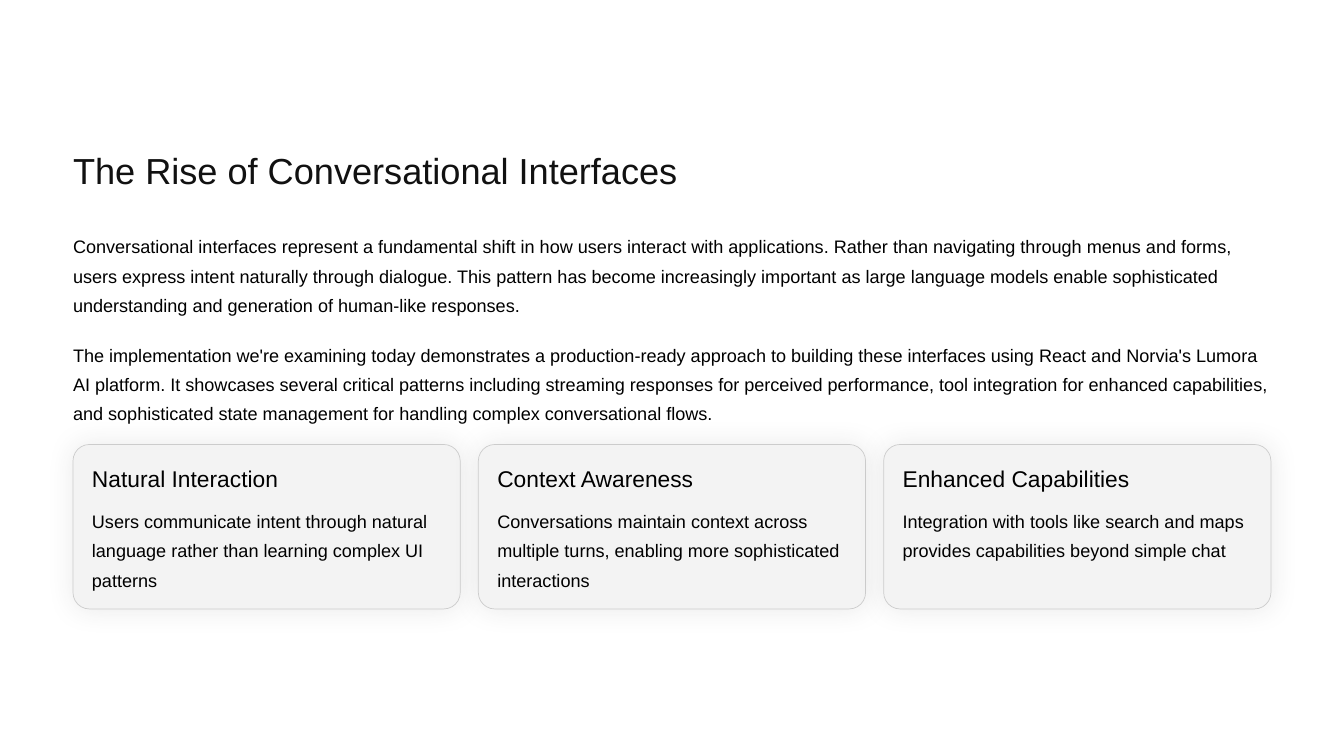
from dataclasses import dataclass

from lxml.etree import SubElement
from pptx import Presentation
from pptx.dml.color import RGBColor as RGB
from pptx.enum.shapes import MSO_SHAPE as Shape
from pptx.enum.text import MSO_ANCHOR as Anchor, MSO_AUTO_SIZE as AutoSize, PP_ALIGN as Align
from pptx.oxml.ns import qn
from pptx.util import Pt

TITLE = "The Rise of Conversational Interfaces"
PARAGRAPHS = [
    "Conversational interfaces represent a fundamental shift in how users interact with applications. "
    "Rather than navigating through menus and forms, users express intent naturally through dialogue. "
    "This pattern has become increasingly important as large language models enable sophisticated "
    "understanding and generation of human-like responses.",
    "The implementation we're examining today demonstrates a production-ready approach to building these "
    "interfaces using React and Norvia's Lumora AI platform. It showcases several critical patterns "
    "including streaming responses for perceived performance, tool integration for enhanced capabilities, "
    "and sophisticated state management for handling complex conversational flows.",
]
CARDS = [
    ("Natural Interaction",
     "Users communicate intent through natural language rather than learning complex UI patterns"),
    ("Context Awareness",
     "Conversations maintain context across multiple turns, enabling more sophisticated interactions"),
    ("Enhanced Capabilities",
     "Integration with tools like search and maps provides capabilities beyond simple chat"),
]


@dataclass(frozen=True)
class Theme:
    font: str = "Arial"
    background: str = "FFFFFF"
    title: str = "111111"
    text: str = "000000"
    card: str = "F3F3F3"
    border: str = "CCCCCC"
    shadow: str = "333333"
    title_size: float = 31
    heading_size: float = 19.5
    body_size: float = 15.5
    title_line: float = 39
    heading_line: float = 24
    body_line: float = 25


THEME = Theme()
WIDTH, HEIGHT = 1152, 648
MARGIN = 62.6
CONTENT_WIDTH = WIDTH - 2 * MARGIN
CARD_TOP, CARD_HEIGHT, CARD_GAP, CARD_PADDING = 381, 141, 15.5, 16.2
CARD_WIDTH = (CONTENT_WIDTH - CARD_GAP * (len(CARDS) - 1)) / len(CARDS)


def place(shape, left, top, width, height):
    shape.left, shape.top, shape.width, shape.height = map(Pt, (left, top, width, height))


def write(shape, texts, size, line, color=THEME.text, wrap=True, gap=0):
    frame = shape.text_frame
    frame.text = "\n".join(texts)
    frame.auto_size = AutoSize.NONE
    frame.word_wrap = wrap
    frame.vertical_anchor = Anchor.TOP
    frame.margin_left = frame.margin_top = frame.margin_right = frame.margin_bottom = 0
    for index, paragraph in enumerate(frame.paragraphs):
        paragraph.alignment = Align.LEFT
        paragraph.line_spacing = Pt(line)
        paragraph.space_before = Pt(gap if index else 0)
        if shape.is_placeholder:
            properties = paragraph._p.get_or_add_pPr()
            properties.set("marL", "0")
            properties.set("indent", "0")
            SubElement(properties, qn("a:buNone"))
        font = paragraph.font
        font.name, font.size = THEME.font, Pt(size)
        font.color.rgb = RGB.from_string(color)


def add_text(slide, box, text, size, line, wrap=True):
    shape = slide.shapes.add_textbox(*map(Pt, box))
    write(shape, [text], size, line, wrap=wrap)


def add_soft_shadow(shape):
    effects = SubElement(shape._element.spPr, qn("a:effectLst"))
    shadow = SubElement(effects, qn("a:outerShdw"), blurRad=str(Pt(23.4)), dist="0", dir="0",
                        algn="ctr", rotWithShape="0")
    color = SubElement(shadow, qn("a:srgbClr"), val=THEME.shadow)
    SubElement(color, qn("a:alpha"), val="10000")


def add_card(slide, left, heading, body):
    card = slide.shapes.add_shape(Shape.ROUNDED_RECTANGLE, *map(Pt, (left, CARD_TOP, CARD_WIDTH, CARD_HEIGHT)))
    card.adjustments[0] = 0.1
    card.fill.solid()
    card.fill.fore_color.rgb = RGB.from_string(THEME.card)
    card.line.color.rgb = RGB.from_string(THEME.border)
    card.line.width = Pt(0.6)
    add_soft_shadow(card)
    text_left, text_width = left + CARD_PADDING, CARD_WIDTH - 2 * CARD_PADDING
    add_text(slide, (text_left, CARD_TOP + 16.5, 195, 24.5), heading,
             THEME.heading_size, THEME.heading_line, wrap=False)
    add_text(slide, (text_left, CARD_TOP + 50.3, text_width, 75), body,
             THEME.body_size, THEME.body_line)


def main():
    """Build the slide on conversational interfaces."""
    presentation = Presentation()
    presentation.slide_width, presentation.slide_height = Pt(WIDTH), Pt(HEIGHT)
    slide = presentation.slides.add_slide(presentation.slide_layouts[1])
    slide.background.fill.solid()
    slide.background.fill.fore_color.rgb = RGB.from_string(THEME.background)

    title, body = slide.placeholders
    place(title, MARGIN, 125.3, 561, 39)
    write(title, [TITLE], THEME.title_size, THEME.title_line, THEME.title, wrap=False)
    place(body, MARGIN, 195.8, CONTENT_WIDTH, 168)
    write(body, PARAGRAPHS, THEME.body_size, THEME.body_line, gap=18)

    for index, (heading, text) in enumerate(CARDS):
        add_card(slide, MARGIN + index * (CARD_WIDTH + CARD_GAP), heading, text)
    presentation.save("out.pptx")


if __name__ == "__main__":
    main()
